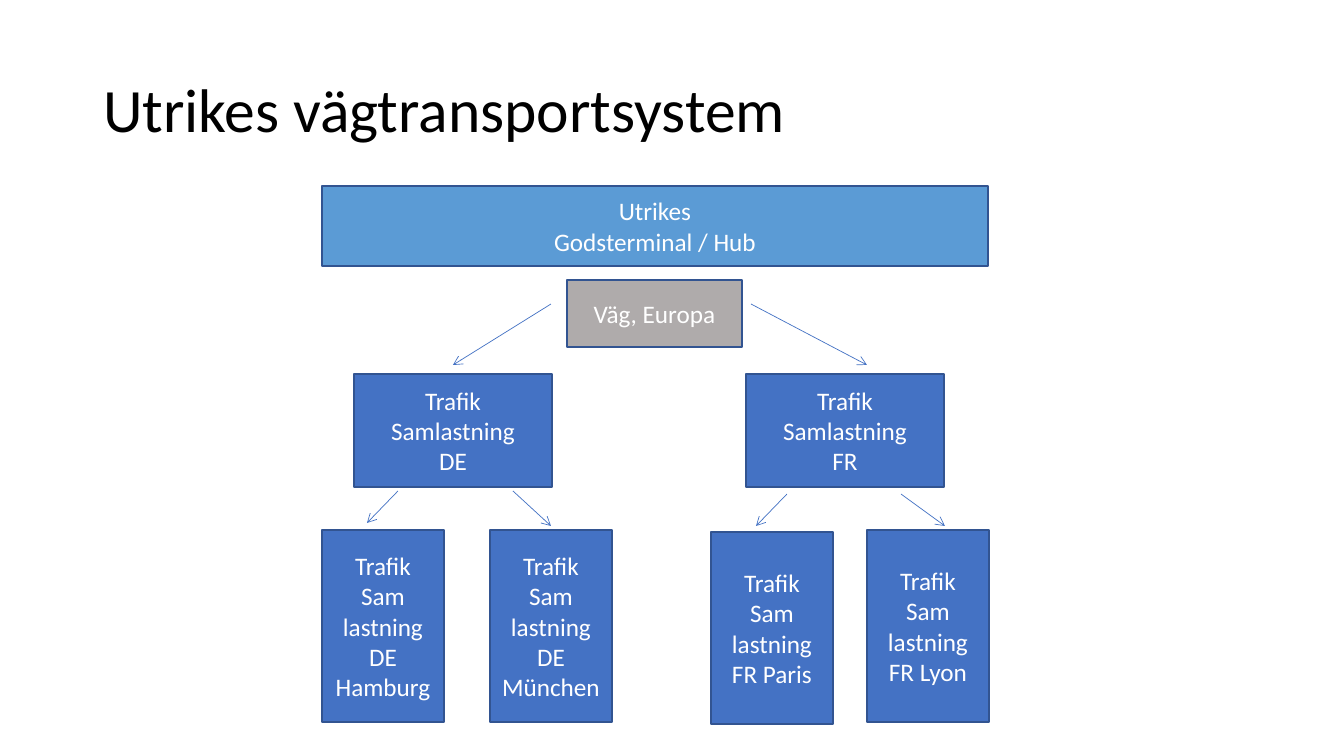
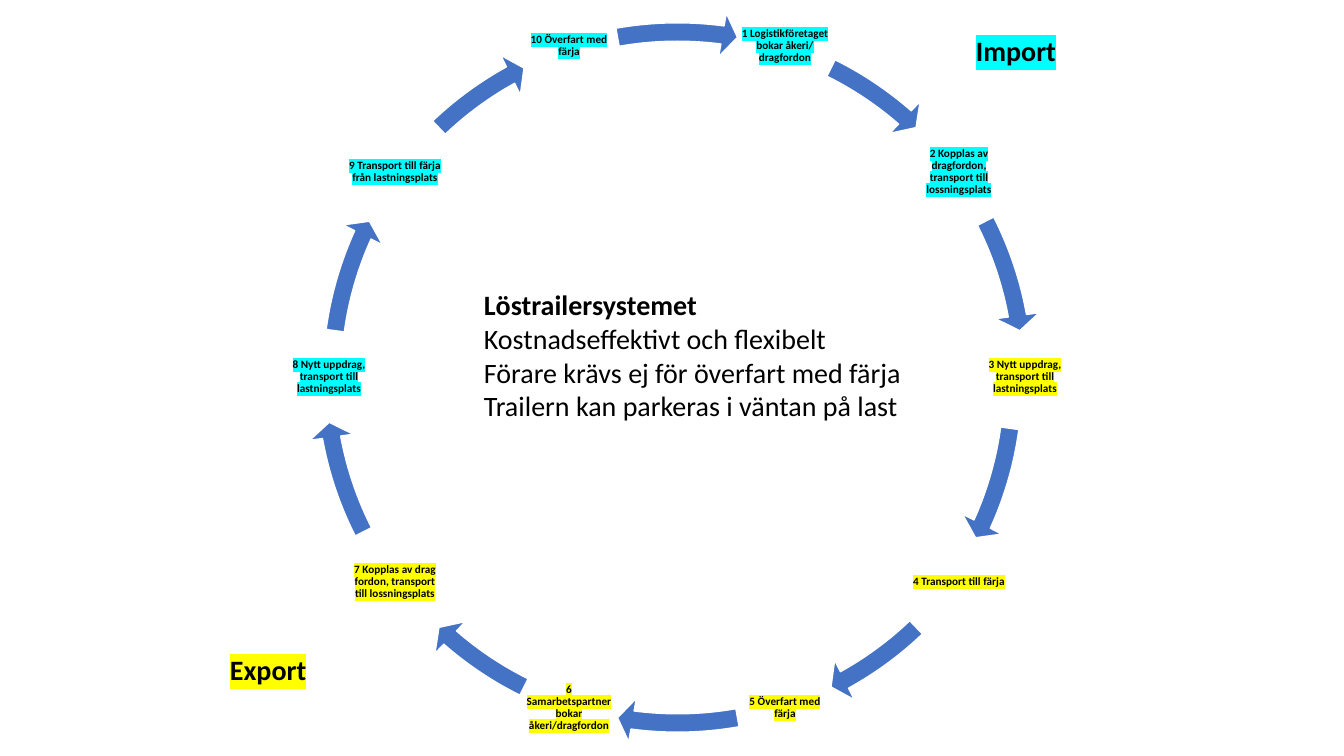
from math import cos, radians, sin
from typing import NamedTuple

from pptx import Presentation
from pptx.dml.color import RGBColor
from pptx.enum.shapes import MSO_CONNECTOR, MSO_SHAPE
from pptx.enum.text import MSO_ANCHOR as Anchor, PP_ALIGN as Align
from pptx.oxml.ns import qn
from pptx.util import Emu, Pt
from lxml.etree import SubElement

EMU_PER_PX = 914400 / 100.8
SLIDE_WIDTH, SLIDE_HEIGHT = 1344, 756
FONT = "Calibri"
COLORS = {
    "black": "000000",
    "white": "FFFFFF",
    "blue": "4472C4",
    "light_blue": "5B9BD5",
    "gray": "AFABAB",
    "outline": "325491",
    "import": "00FFFF",
    "export": "FFFF00",
}


class Area(NamedTuple):
    left: int
    top: int
    width: int
    height: int


class Box(NamedTuple):
    text: str
    area: Area
    fill: str = "blue"


class Arrow(NamedTuple):
    start: tuple[int, int]
    end: tuple[int, int]


class Step(NamedTuple):
    text: str
    flow: str


class Arc(NamedTuple):
    """Start and end of a circular arrow in degrees, clockwise from the right."""
    start: float
    end: float


TITLE_AREA = Area(93, 40, 1159, 146)

BOXES = [
    Box("Utrikes\nGodsterminal / Hub", Area(322, 186, 666, 80), "light_blue"),
    Box("Väg, Europa", Area(567, 280, 175, 67), "gray"),
    Box("Trafik\nSamlastning\nDE", Area(354, 374, 198, 113)),
    Box("Trafik\nSamlastning\nFR", Area(746, 374, 198, 113)),
    Box("Trafik\nSam\nlastning\nDE\nHamburg", Area(322, 530, 122, 192)),
    Box("Trafik\nSam\nlastning\nDE\nMünchen", Area(490, 530, 122, 192)),
    Box("Trafik\nSam\nlastning\nFR Paris", Area(711, 532, 122, 192)),
    Box("Trafik\nSam\nlastning\nFR Lyon", Area(867, 530, 122, 192)),
]
ARROWS = [
    Arrow((551, 304), (453, 365)),
    Arrow((751, 304), (867, 365)),
    Arrow((398, 491), (367, 523)),
    Arrow((513, 491), (551, 526)),
    Arrow((787, 494), (756, 526)),
    Arrow((901, 494), (945, 526)),
]

STEPS = [
    Step("1 Logistikföretaget bokar åkeri/ dragfordon", "import"),
    Step("2 Kopplas av dragfordon, transport till lossningsplats", "import"),
    Step("3 Nytt uppdrag, transport till lastningsplats", "export"),
    Step("4 Transport till färja", "export"),
    Step("5 Överfart med färja", "export"),
    Step("6 Samarbetspartner bokar åkeri/dragfordon", "export"),
    Step("7 Kopplas av drag fordon, transport till lossningsplats", "export"),
    Step("8 Nytt uppdrag, transport till lastningsplats", "import"),
    Step("9 Transport till färja från lastningsplats", "import"),
    Step("10 Överfart med färja", "import"),
]
HALF_CYCLE_ARCS = [
    Arc(296.38, 311.16),
    Arc(333.1, 349.7),
    Arc(7.78, 24.38),
    Arc(46.32, 61.1),
    Arc(80, 97.48),
]
ARC_OFFSETS = {2: (-10, 4), 6: (-6, -2)}
CYCLE_CENTER = (677, 377)
CYCLE_RADIUS = 348
FIRST_STEP_ANGLE = -72
STEP_SIZE = 94
ARC_BOX_SIZE = 735

SUMMARY = "\n".join([
    "Löstrailersystemet",
    "Kostnadseffektivt och flexibelt",
    "Förare krävs ej för överfart med färja",
    "Trailern kan parkeras i väntan på last",
])
FLOW_LABELS = [
    ("Import", "import", Area(966, 29, 111, 44)),
    ("Export", "export", Area(220, 648, 119, 44)),
]


def px(length: float) -> Emu:
    return Emu(round(length * EMU_PER_PX))


def rgb(name: str) -> RGBColor:
    return RGBColor.from_string(COLORS[name])


def place(area: Area) -> list[Emu]:
    return [px(length) for length in area]


def format_paragraphs(frame, size: int, color: str, bold: bool = False,
                      align: Align = Align.LEFT) -> None:
    for paragraph in frame.paragraphs:
        paragraph.alignment = align
        font = paragraph.font
        font.name, font.size, font.bold = FONT, Pt(size), bold
        font.color.rgb = rgb(color)


def highlight(frame, color: str) -> None:
    for paragraph in frame.paragraphs:
        for run in paragraph.runs:
            mark = SubElement(run._r.get_or_add_rPr(), qn("a:highlight"))
            SubElement(mark, qn("a:srgbClr"), val=COLORS[color])


def add_preset(slide, preset: MSO_SHAPE, area: Area, fill: str, outline: str):
    shape = slide.shapes.add_shape(preset, *place(area))
    shape.shadow.inherit = False
    shape.fill.solid()
    shape.fill.fore_color.rgb = rgb(fill)
    shape.line.color.rgb = rgb(outline)
    shape.line.width = Pt(1)
    return shape


def add_box(slide, box: Box) -> None:
    shape = add_preset(slide, MSO_SHAPE.RECTANGLE, box.area, box.fill, "outline")
    frame = shape.text_frame
    frame.text = box.text
    frame.word_wrap = True
    frame.vertical_anchor = Anchor.MIDDLE
    format_paragraphs(frame, 18, "white", align=Align.CENTER)


def add_arrow(slide, arrow: Arrow) -> None:
    points = [px(length) for length in (*arrow.start, *arrow.end)]
    connector = slide.shapes.add_connector(MSO_CONNECTOR.STRAIGHT, *points)
    connector.line.color.rgb = rgb("blue")
    connector.line.width = Pt(0.5)
    SubElement(connector.line._get_or_add_ln(), qn("a:tailEnd"), type="arrow")
    SubElement(connector._element.spPr, qn("a:effectLst"))


def add_text(slide, text: str, area: Area):
    frame = slide.shapes.add_textbox(*place(area)).text_frame
    frame.word_wrap = True
    frame.text = text
    return frame


def add_step(slide, index: int, step: Step) -> None:
    angle = radians(FIRST_STEP_ANGLE + index * 360 / len(STEPS))
    left = CYCLE_CENTER[0] + CYCLE_RADIUS * cos(angle) - STEP_SIZE / 2
    top = CYCLE_CENTER[1] + CYCLE_RADIUS * sin(angle) - STEP_SIZE / 2
    frame = add_text(slide, step.text,
                     Area(round(left), round(top), STEP_SIZE, STEP_SIZE))
    frame.margin_left = frame.margin_right = px(1)
    frame.margin_top = frame.margin_bottom = px(1)
    frame.vertical_anchor = Anchor.MIDDLE
    frame.paragraphs[0].line_spacing = 0.9
    format_paragraphs(frame, 8, "black", bold=True, align=Align.CENTER)
    highlight(frame, step.flow)


def add_arc(slide, index: int) -> None:
    """Draw the arrow after a step; the second half turns the first by 180 degrees."""
    half_turn, position = divmod(index, len(HALF_CYCLE_ARCS))
    arc = HALF_CYCLE_ARCS[position]
    start, end = [(angle + 180 * half_turn) % 360 for angle in arc]
    shift_x, shift_y = ARC_OFFSETS.get(index, (0, 0))
    area = Area(310 + shift_x, 10 + shift_y, ARC_BOX_SIZE, ARC_BOX_SIZE)
    shape = add_preset(slide, MSO_SHAPE.CIRCULAR_ARROW, area, "blue", "white")
    # Angles are stored in 60000ths of a degree, adjustments in 100000ths.
    values = (0.025, 1.51, end * 0.6, start * 0.6, 0.03)
    for number, value in enumerate(values):
        shape.adjustments[number] = value


def build_road_system(presentation) -> None:
    slide = presentation.slides.add_slide(presentation.slide_layouts[5])
    title = slide.shapes.title
    title.left, title.top, title.width, title.height = place(TITLE_AREA)
    frame = title.text_frame
    frame.text = "Utrikes vägtransportsystem"
    frame.vertical_anchor = Anchor.MIDDLE
    frame.paragraphs[0].line_spacing = 0.9
    format_paragraphs(frame, 44, "black")
    for box in BOXES:
        add_box(slide, box)
    for arrow in ARROWS:
        add_arrow(slide, arrow)


def build_trailer_cycle(presentation) -> None:
    slide = presentation.slides.add_slide(presentation.slide_layouts[6])
    for index, step in enumerate(STEPS):
        add_step(slide, index, step)
        add_arc(slide, index)
    summary = add_text(slide, SUMMARY, Area(474, 283, 484, 146))
    format_paragraphs(summary, 20, "black")
    summary.paragraphs[0].font.bold = True
    for text, flow, area in FLOW_LABELS:
        label = add_text(slide, text, area)
        format_paragraphs(label, 20, "black", bold=True)
        highlight(label, flow)


def main() -> None:
    presentation = Presentation()
    presentation.slide_width = px(SLIDE_WIDTH)
    presentation.slide_height = px(SLIDE_HEIGHT)
    build_road_system(presentation)
    build_trailer_cycle(presentation)
    presentation.save("out.pptx")


if __name__ == "__main__":
    main()
